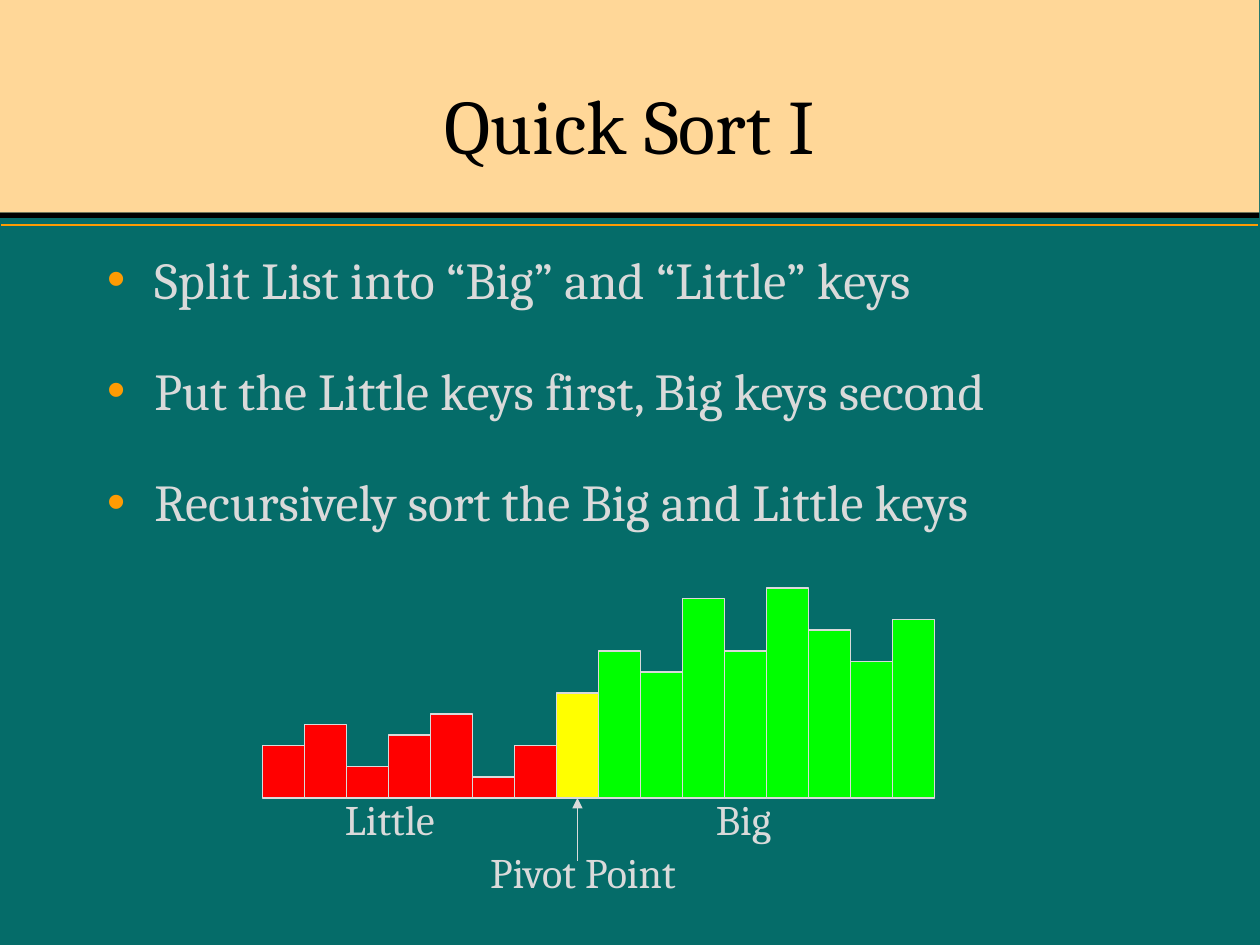
import pptx
import pptx.util
import pptx.dml.color
import pptx.enum.shapes
import pptx.enum.text
from lxml import etree
from pptx.oxml.ns import qn

Pt = pptx.util.Pt
FONT = "Cambria"
COLORS = {
    "background": "056C69",
    "band": "FFD798",
    "black": "000000",
    "accent": "FE9B03",
    "text": "DADADA",
    "little": "FF0000",
    "pivot": "FFFF00",
    "big": "00FF00",
}
POINTS = [
    "Split List into “Big” and “Little” keys",
    "Put the Little keys first, Big keys second",
    "Recursively sort the Big and Little keys",
]
KEYS = {
    "little": [5, 7, 3, 6, 8, 2, 5],
    "pivot": [10],
    "big": [14, 12, 19, 14, 20, 16, 13, 17],
}


def rgb(name):
    return pptx.dml.color.RGBColor.from_string(COLORS[name])


def style_text(p, size, color):
    for r in p.runs:
        r.font.name = FONT
        r.font.size = Pt(size)
        r.font.color.rgb = rgb(color)


def place(sp, x, y, w, h):
    sp.left, sp.top, sp.width, sp.height = Pt(x), Pt(y), Pt(w), Pt(h)


def add_rect(s, x, y, w, h, fill, line=None):
    sp = s.shapes.add_shape(pptx.enum.shapes.MSO_SHAPE.RECTANGLE,
                            Pt(x), Pt(y), Pt(w), Pt(h))
    sp.shadow.inherit = False
    sp.fill.solid()
    sp.fill.fore_color.rgb = rgb(fill)
    if line:
        sp.line.color.rgb = rgb(line)
        sp.line.width = Pt(1)
    else:
        sp.line.fill.background()
    return sp


def add_line(s, x1, y1, x2, y2, color):
    line = s.shapes.add_connector(pptx.enum.shapes.MSO_CONNECTOR.STRAIGHT,
                                  Pt(x1), Pt(y1), Pt(x2), Pt(y2))
    line.line.color.rgb = rgb(color)
    line.line.width = Pt(1)
    etree.SubElement(line._element.spPr, qn("a:effectLst"))
    return line


def add_label(s, x, y, w, h, text):
    sp = s.shapes.add_textbox(Pt(x), Pt(y), Pt(w), Pt(h))
    tf = sp.text_frame
    tf.word_wrap = False
    tf.text = text
    style_text(tf.paragraphs[0], 24, "text")


def add_header(s, x, y, w, h):
    """Title band with a thick black edge and a thin accent rule below."""
    add_rect(s, x, y, w, h, "band")
    add_rect(s, x, y + h, w, 3, "black")
    add_line(s, x + 0.5, y + h + 7, x + w - 0.5, y + h + 7, "accent")


def fill_title(s, x, y, w, h):
    sp = s.shapes.title
    place(sp, x, y, w, h)
    tf = sp.text_frame
    tf.text = "Quick Sort I"
    tf.auto_size = pptx.enum.text.MSO_AUTO_SIZE.NONE
    tf.vertical_anchor = pptx.enum.text.MSO_ANCHOR.MIDDLE
    p = tf.paragraphs[0]
    p.alignment = pptx.enum.text.PP_ALIGN.CENTER
    style_text(p, 44, "black")


def add_bullet(p):
    pPr = p._p.get_or_add_pPr()
    pPr.set("marL", str(Pt(27)))
    pPr.set("indent", str(-Pt(27)))
    color = etree.SubElement(pPr, qn("a:buClr"))
    etree.SubElement(color, qn("a:srgbClr"), val=COLORS["accent"])
    etree.SubElement(pPr, qn("a:buChar"), char="•")


def fill_body(s, x, y, w, h):
    sp = s.placeholders[1]
    place(sp, x, y, w, h)
    tf = sp.text_frame
    tf.text = "\n".join(POINTS)
    tf.auto_size = pptx.enum.text.MSO_AUTO_SIZE.NONE
    for i, p in enumerate(tf.paragraphs):
        add_bullet(p)
        p.space_before = Pt(8 if i else 0)
        p.space_after = Pt(20)
        style_text(p, 29.6, "text")


def add_partition(s, x, y, w, h):
    """Bars for the keys around the pivot, with group labels below."""
    bars = [(group, key) for group, keys in KEYS.items() for key in keys]
    bar_w = w / len(bars)
    unit = h / max(key for _, key in bars)
    base = y + h
    for i, (group, key) in enumerate(bars):
        bar = add_rect(s, x + i * bar_w, base - key * unit, bar_w, key * unit,
                       group, "text")
        if group == "pivot":
            pivot, pivot_x = bar, x + (i + 0.5) * bar_w

    add_label(s, x + 40, base - 6, 74, 36, "Little")
    add_label(s, x + 252, base - 6, 50, 36, "Big")
    add_label(s, x + 123, base + 24, 139, 36, "Pivot Point")

    arrow = add_line(s, pivot_x, base + 36, pivot_x, base, "text")
    arrow.end_connect(pivot, 2)
    etree.SubElement(arrow.line._get_or_add_ln(), qn("a:tailEnd"), type="triangle")


def main():
    prs = pptx.Presentation()
    prs.slide_width, prs.slide_height = Pt(720), Pt(540)
    s = prs.slides.add_slide(prs.slide_layouts[1])
    s.background.fill.solid()
    s.background.fill.fore_color.rgb = rgb("background")

    add_header(s, 0, 0, 719.5, 121.5)
    # The placeholders come first in the tree, so lift them above the band.
    for sp in list(s.placeholders):
        s.shapes._spTree.append(sp._element)
    fill_title(s, 54, 27, 612, 87)
    fill_body(s, 54, 138, 612, 186)
    add_partition(s, 150, 336, 384, 120)
    prs.save("out.pptx")


if __name__ == "__main__":
    main()
